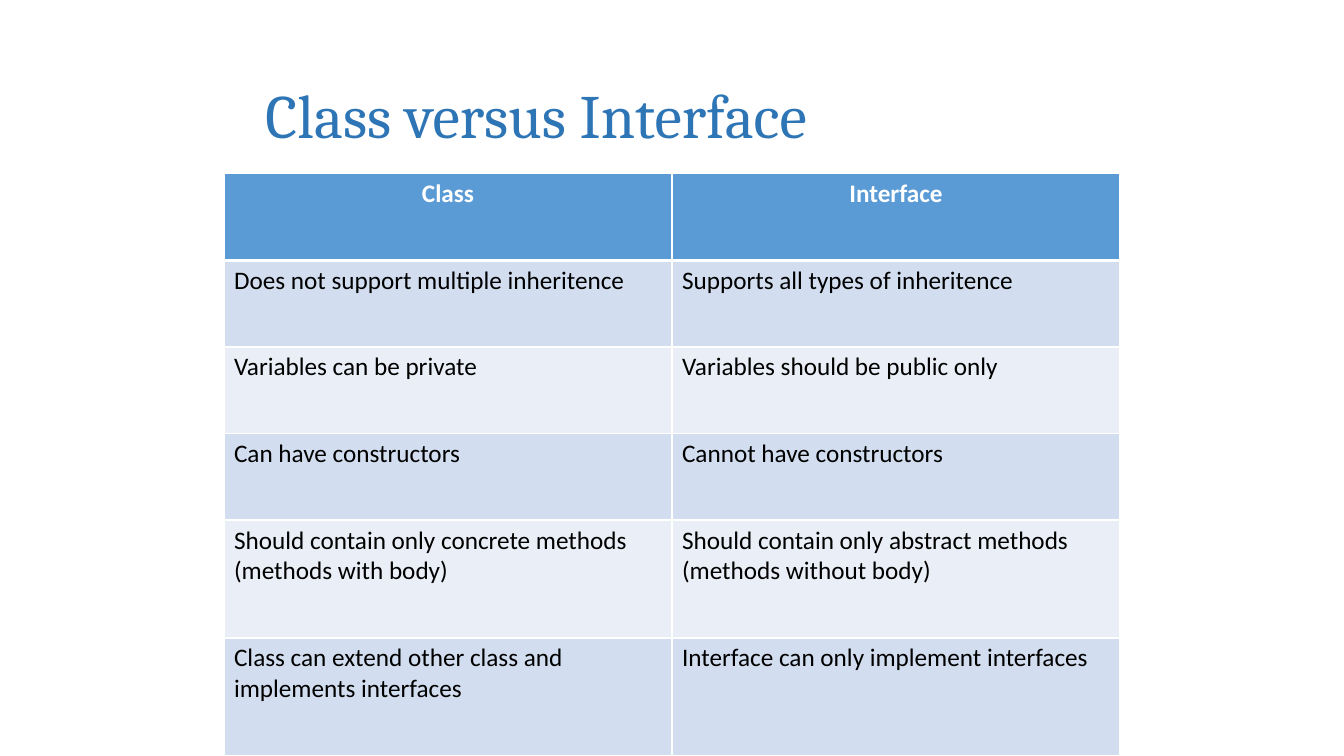
from dataclasses import dataclass

from lxml.etree import SubElement
from pptx import Presentation
from pptx.dml.color import RGBColor as Color
from pptx.enum.text import MSO_ANCHOR as Anchor, PP_ALIGN as Align
from pptx.oxml.ns import qn
from pptx.presentation import Presentation as Deck
from pptx.slide import Slide
from pptx.table import _Cell as Cell
from pptx.text.text import TextFrame
from pptx.util import Inches, Pt


@dataclass(frozen=True)
class Theme:
    title_font: str = "Cambria"
    body_font: str = "Calibri"
    title_size: int = 44
    body_size: int = 18
    title: str = "2E75B6"
    header: str = "5B9BD5"
    bands: tuple[str, str] = ("D2DEEF", "EAEFF7")
    light: str = "FFFFFF"
    dark: str = "000000"
    thin: int = 1
    thick: int = 3


@dataclass(frozen=True)
class Area:
    left: float
    top: float
    width: float
    height: float


@dataclass(frozen=True)
class Comparison:
    class_text: str
    interface_text: str
    height_units: int = 11


THEME = Theme()
TITLE_AREA = Area(0.19, 0.05, 0.74, 0.2)
TABLE_AREA = Area(1 / 6, 0.23, 2 / 3, 0.77)
COMPARISONS = [
    Comparison("Class", "Interface"),
    Comparison("Does not support multiple inheritence", "Supports all types of inheritence"),
    Comparison("Variables can be private", "Variables should be public only"),
    Comparison("Can have constructors", "Cannot have constructors"),
    Comparison(
        "Should contain only concrete methods (methods with body)",
        "Should contain only abstract methods (methods without body)",
        15,
    ),
    Comparison(
        "Class can extend other class and implements interfaces",
        "Interface can only implement interfaces",
        15,
    ),
]


def place(presentation: Deck, area: Area) -> tuple[int, int, int, int]:
    width, height = presentation.slide_width, presentation.slide_height
    return (
        round(area.left * width),
        round(area.top * height),
        round(area.width * width),
        round(area.height * height),
    )


def write(
    frame: TextFrame, text: str, font: str, size: int, color: str,
    align: Align = Align.LEFT, bold: bool = False,
) -> None:
    paragraph = frame.paragraphs[0]
    paragraph.alignment = align
    run = paragraph.add_run()
    run.text = text
    run.font.name = font
    run.font.size = Pt(size)
    run.font.bold = bold
    run.font.color.rgb = Color.from_string(color)


def add_borders(cell: Cell, top: int, bottom: int) -> None:
    properties = cell._tc.get_or_add_tcPr()
    widths = {"L": THEME.thin, "R": THEME.thin, "T": top, "B": bottom}
    for side, width in widths.items():
        line = SubElement(properties, qn(f"a:ln{side}"), w=str(Pt(width)))
        fill = SubElement(line, qn("a:solidFill"))
        SubElement(fill, qn("a:srgbClr"), val=THEME.light)


def draw_title(presentation: Deck, slide: Slide) -> None:
    title = slide.shapes.title
    title.left, title.top, title.width, title.height = place(presentation, TITLE_AREA)
    title.text_frame.vertical_anchor = Anchor.MIDDLE
    write(title.text_frame, "Class versus Interface", THEME.title_font, THEME.title_size, THEME.title)


def draw_table(presentation: Deck, slide: Slide) -> None:
    area = place(presentation, TABLE_AREA)
    table = slide.shapes.add_table(len(COMPARISONS), 2, *area).table
    unit = area[3] / sum(comparison.height_units for comparison in COMPARISONS)
    for index, comparison in enumerate(COMPARISONS):
        is_header = index == 0
        table.rows[index].height = round(unit * comparison.height_units)
        fill = THEME.header if is_header else THEME.bands[(index - 1) % 2]
        top = THEME.thick if index == 1 else THEME.thin
        bottom = THEME.thick if is_header else THEME.thin
        for column, text in enumerate((comparison.class_text, comparison.interface_text)):
            cell = table.cell(index, column)
            add_borders(cell, top, bottom)
            cell.fill.solid()
            cell.fill.fore_color.rgb = Color.from_string(fill)
            write(
                cell.text_frame, text, THEME.body_font, THEME.body_size,
                THEME.light if is_header else THEME.dark,
                Align.CENTER if is_header else Align.LEFT,
                is_header,
            )


def main() -> None:
    presentation = Presentation()
    presentation.slide_width = Inches(13.33)
    presentation.slide_height = Inches(7.5)
    slide = presentation.slides.add_slide(presentation.slide_layouts.get_by_name("Title Only"))
    draw_title(presentation, slide)
    draw_table(presentation, slide)
    presentation.save("out.pptx")


if __name__ == "__main__":
    main()
